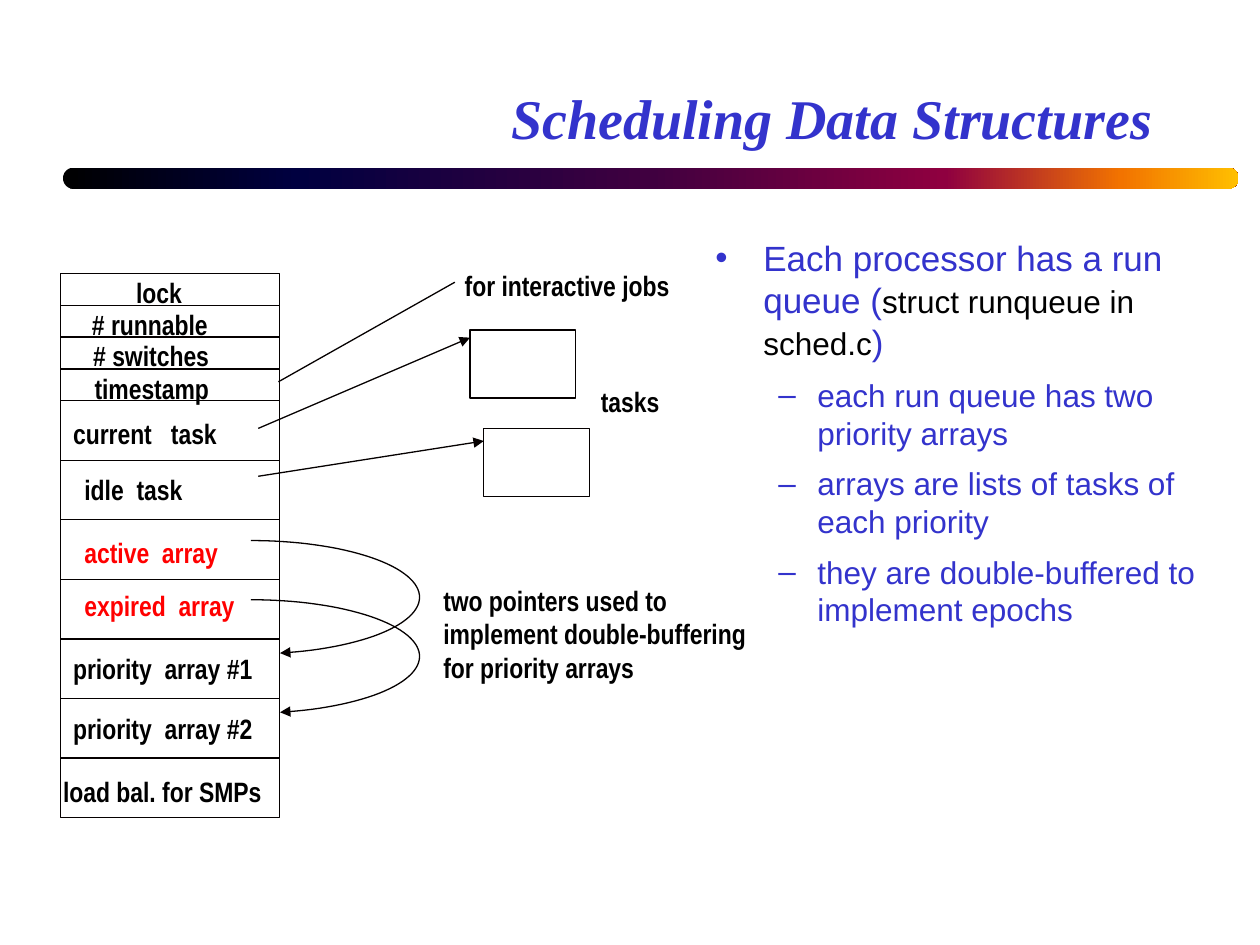
import math

import lxml.etree
import pptx
import pptx.dml.color
import pptx.enum.shapes
import pptx.enum.text
import pptx.oxml.ns
import pptx.util

Inches = pptx.util.Inches
Pt = pptx.util.Pt
qn = pptx.oxml.ns.qn
RGBColor = pptx.dml.color.RGBColor
SHAPE = pptx.enum.shapes.MSO_SHAPE
ALIGN = pptx.enum.text.PP_ALIGN
ANCHOR = pptx.enum.text.MSO_ANCHOR
FIT = pptx.enum.text.MSO_AUTO_SIZE

BLUE = RGBColor(0x33, 0x33, 0xCC)
BLACK = RGBColor(0, 0, 0)
RED = RGBColor(0xFF, 0, 0)
INK = RGBColor(0x05, 0, 0)
BAR_STOPS = [
    (0, RGBColor(0, 0, 0)), (20, RGBColor(0, 0, 0x40)),
    (50, RGBColor(0x40, 0, 0x40)), (75, RGBColor(0x8F, 0, 0x40)),
    (90, RGBColor(0xF2, 0x73, 0)), (100, RGBColor(0xFF, 0xBF, 0)),
]


def add_span(para, text, font="Arial Narrow", size=16, color=BLACK, bold=False, italic=False):
    """Add formatted text to a paragraph."""
    span = para.add_run()
    span.text = text
    span.font.name = font
    span.font.size = Pt(size)
    span.font.color.rgb = color
    span.font.bold = bold
    span.font.italic = italic


def add_xml(parent, tag, **attributes):
    """Append a child element that has no public method."""
    return lxml.etree.SubElement(parent, qn(tag), attributes)


class SlideWriter:
    """Hold the line style and the page, and place elements on it."""

    def __init__(self, page, line_color=INK, line_width=0.75):
        self.page = page
        self.line_color = line_color
        self.line_width = Pt(line_width)

    def style_line(self, item, arrow=False):
        """Apply the common line, with an arrowhead if wanted."""
        item.line.color.rgb = self.line_color
        item.line.width = self.line_width
        if arrow:
            add_xml(item.element.spPr.find(qn("a:ln")), "a:tailEnd", type="triangle")

    def title(self, text, left, top, width, height):
        """Fill and place the title placeholder."""
        box = self.page.shapes.title
        box.left, box.top = Inches(left), Inches(top)
        box.width, box.height = Inches(width), Inches(height)
        frame = box.text_frame
        frame.auto_size = FIT.NONE
        frame.vertical_anchor = ANCHOR.BOTTOM
        para = frame.paragraphs[0]
        para.alignment = ALIGN.RIGHT
        add_span(para, text, font="Times New Roman", size=32, color=BLUE, bold=True, italic=True)

    def gradient_bar(self, left, top, width, height, stops):
        """Add a round-ended bar with a horizontal gradient."""
        bar = self.page.shapes.add_shape(
            SHAPE.ROUNDED_RECTANGLE, Inches(left), Inches(top), Inches(width), Inches(height))
        bar.adjustments[0] = 0.5
        bar.shadow.inherit = False
        bar.line.fill.background()
        bar.fill.gradient()
        bar.fill.gradient_angle = 0
        stop_list = bar.element.spPr.find(qn("a:gradFill")).find(qn("a:gsLst"))
        for stop in list(stop_list):
            stop_list.remove(stop)
        for percent, color in stops:
            stop = add_xml(stop_list, "a:gs", pos=str(percent * 1000))
            add_xml(stop, "a:srgbClr", val=str(color))

    def rectangle(self, left, top, width, height):
        """Add an outlined, unfilled rectangle."""
        box = self.page.shapes.add_shape(
            SHAPE.RECTANGLE, Inches(left), Inches(top), Inches(width), Inches(height))
        box.shadow.inherit = False
        box.fill.background()
        self.style_line(box)

    def label(self, lines, left, top, width, height, color=BLACK, inset=True, wrap=False):
        """Add a bold label with one paragraph a line."""
        box = self.page.shapes.add_textbox(
            Inches(left), Inches(top), Inches(width), Inches(height))
        frame = box.text_frame
        frame.word_wrap = wrap
        frame.auto_size = FIT.SHAPE_TO_FIT_TEXT
        if not inset:
            frame.margin_left = frame.margin_right = 0
            frame.margin_top = frame.margin_bottom = 0
        for index, line in enumerate(lines):
            para = frame.add_paragraph() if index else frame.paragraphs[0]
            add_span(para, line, color=color, bold=True)

    def bullets(self, items, left, top, width, height):
        """Add a bulleted list of (level, spans) items."""
        box = self.page.shapes.add_textbox(
            Inches(left), Inches(top), Inches(width), Inches(height))
        frame = box.text_frame
        frame.word_wrap = True
        styles = [("\u2022", 0.38, -0.38, 20), ("\u2013", 0.81, -0.31, 18)]
        for index, (level, spans) in enumerate(items):
            mark, margin, indent, size = styles[level]
            para = frame.add_paragraph() if index else frame.paragraphs[0]
            para.level = level
            para.space_before = para.space_after = Pt(size * 0.2)
            for text, span_size, color in spans:
                add_span(para, text, font="Arial", size=span_size, color=color)
            properties = para._p.get_or_add_pPr()
            properties.set("marL", str(Inches(margin)))
            properties.set("indent", str(Inches(indent)))
            add_xml(add_xml(properties, "a:buClr"), "a:srgbClr", val=str(BLUE))
            add_xml(properties, "a:buFont", typeface="Arial")
            add_xml(properties, "a:buChar", char=mark)

    def connector(self, start, end, arrow=True):
        """Add a straight line between two points."""
        line = self.page.shapes.add_connector(
            pptx.enum.shapes.MSO_CONNECTOR.STRAIGHT, *map(Inches, start + end))
        self.style_line(line, arrow)
        add_xml(line.element.spPr, "a:effectLst")

    def curved_arrow(self, left, top, radius_x, radius_y, sweep=170, steps=60):
        """Add an elliptical arrow that leaves rightwards and bends back."""
        points = []
        for step in range(steps + 1):
            angle = math.radians(sweep * step / steps)
            points.append((Inches(left + radius_x * math.sin(angle)),
                           Inches(top + radius_y * (1 - math.cos(angle)))))
        builder = self.page.shapes.build_freeform(*points[0])
        builder.add_line_segments(points[1:], close=False)
        curve = builder.convert_to_shape()
        curve.shadow.inherit = False
        curve.fill.background()
        self.style_line(curve, arrow=True)


def draw_run_queue(writer):
    """Draw the run queue fields and their labels."""
    left, width = 0.48, 1.74
    for first, last, count in [(2.17, 3.18, 4), (3.18, 6.49, 7)]:
        height = (last - first) / count
        for row in range(count):
            writer.rectangle(left, first + row * height, width, height)
    for text, x, y, label_width, color, wrap in [
        ("lock", 1.08, 2.19, 0.37, BLACK, False),
        ("# runnable", 0.73, 2.44, 0.93, BLACK, False),
        ("# switches", 0.74, 2.69, 0.93, BLACK, False),
        ("timestamp", 0.75, 2.95, 0.92, BLACK, False),
        ("current   task", 0.58, 3.31, 1.58, BLACK, True),
        ("idle  task", 0.67, 3.75, 1.17, BLACK, True),
        ("active  array", 0.67, 4.25, 1.25, RED, True),
        ("expired  array", 0.67, 4.67, 1.41, RED, True),
        ("priority  array #1", 0.58, 5.17, 1.5, BLACK, True),
        ("priority  array #2", 0.58, 5.65, 1.58, BLACK, True),
        ("load bal. for SMPs", 0.5, 6.15, 1.58, BLACK, True),
    ]:
        writer.label([text], x, y, label_width, 0.27, color=color, inset=False, wrap=wrap)


def draw_targets(writer):
    """Draw what the fields point to, with captions."""
    for left, top, field_y, tip_y in [(3.73, 2.62, 3.4, 2.68), (3.84, 3.4, 3.78, 3.5)]:
        writer.rectangle(left, top, 0.84, 0.54)
        writer.connector((2.05, field_y), (left, tip_y))
    for top in (4.29, 4.76):
        writer.curved_arrow(1.99, top, 1.34, 0.45)
    writer.connector((2.21, 3.03), (3.61, 2.24), arrow=False)
    writer.label(["tasks"], 4.67, 3, 0.67, 0.37)
    writer.label(["for interactive jobs"], 3.59, 2.08, 1.84, 0.37)
    writer.label(["two pointers used to", "implement double-buffering", "for priority arrays"],
                 3.42, 4.58, 2.63, 0.91)


def main():
    """Build and save the deck."""
    deck = pptx.Presentation()
    deck.slide_width, deck.slide_height = Inches(10), Inches(7.5)
    writer = SlideWriter(deck.slides.add_slide(deck.slide_layouts[5]))
    writer.gradient_bar(0.5, 1.33, 9.33, 0.17, BAR_STOPS)
    writer.title("Scheduling Data Structures", 0.75, 0.25, 8.5, 1)
    details = ["each run queue has two priority arrays",
               "arrays are lists of tasks of each priority",
               "they are double-buffered to implement epochs"]
    lead = [("Each processor has a run queue (", 20, BLUE),
            ("struct runqueue in sched.c", 18, BLACK), (")", 20, BLUE)]
    writer.bullets([(0, lead)] + [(1, [(text, 18, BLUE)]) for text in details],
                   5.58, 1.83, 4.33, 4.25)
    draw_run_queue(writer)
    draw_targets(writer)
    deck.save("out.pptx")


main()
